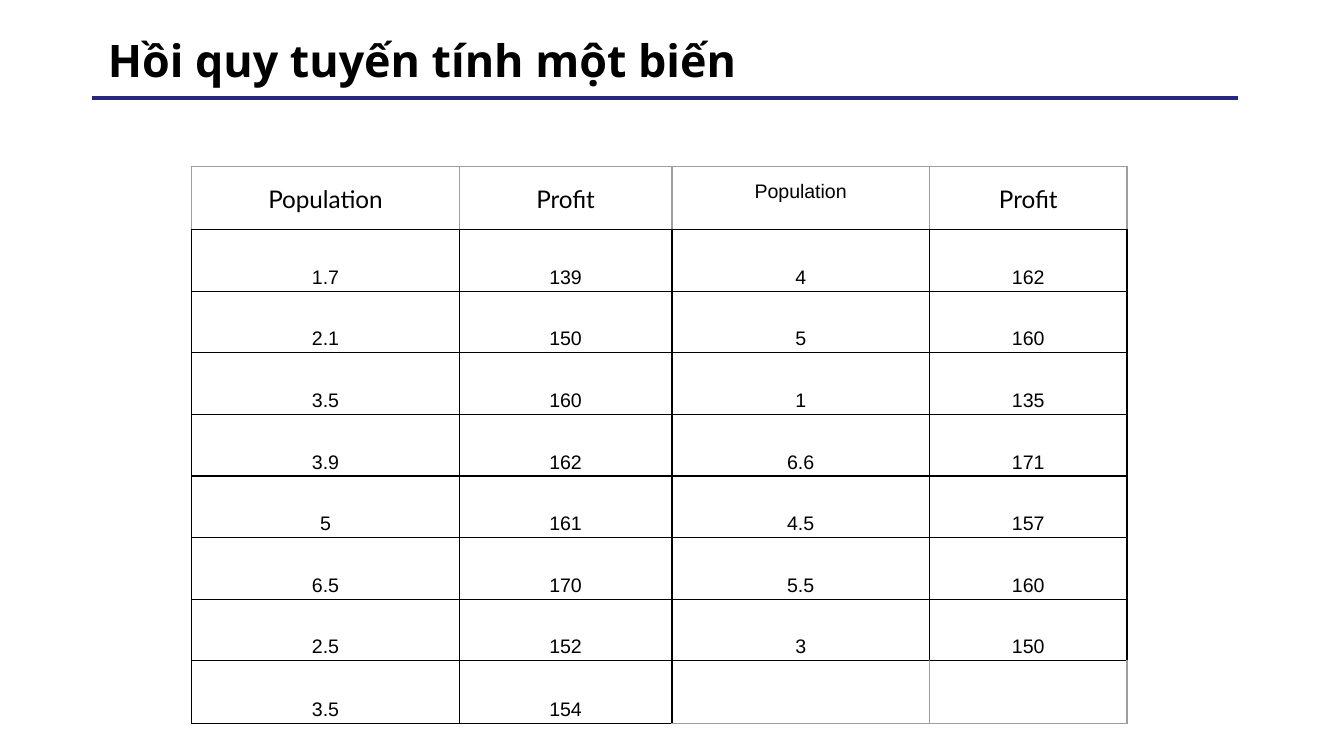
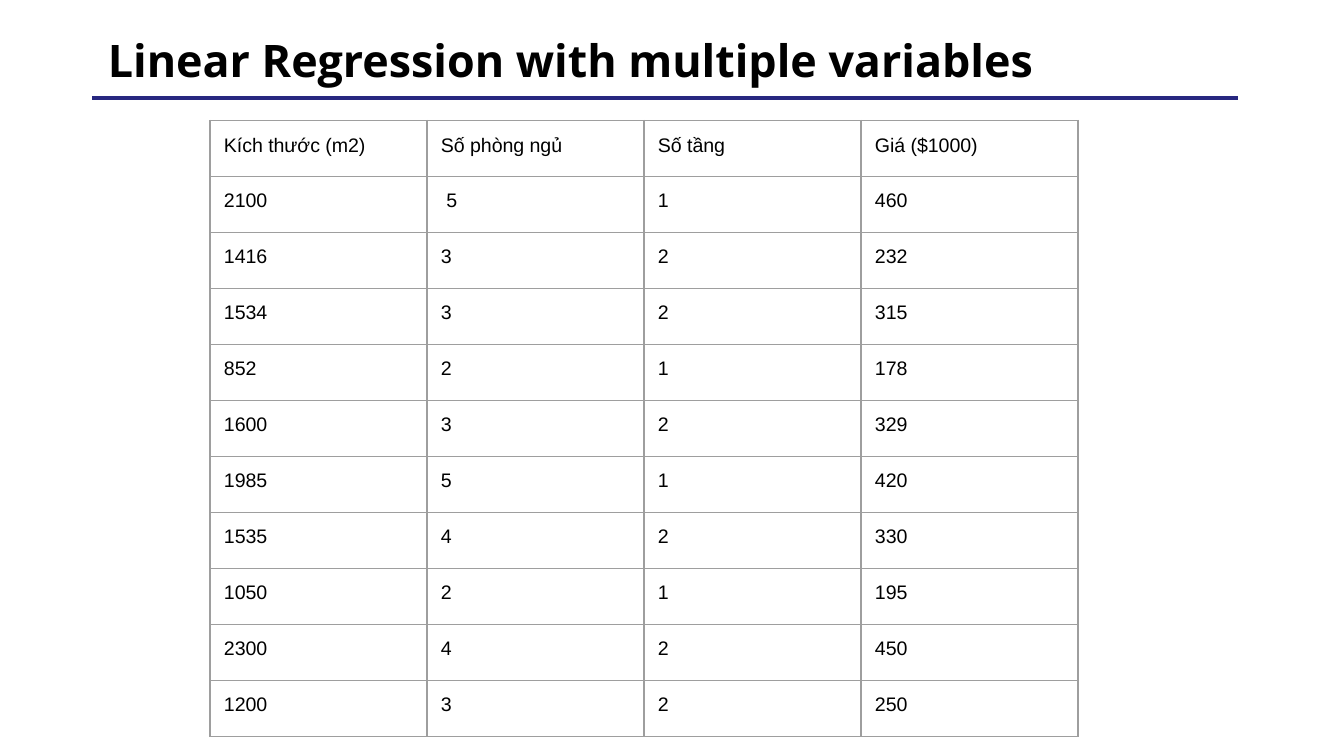
import dataclasses

import lxml.etree
import pptx
import pptx.dml.color
import pptx.enum.shapes
import pptx.enum.text
import pptx.oxml.ns
import pptx.slide
import pptx.table
import pptx.text.text
import pptx.util

PX = 9525  # EMU in one px, 96 px to the inch
BLACK, GREY, NAVY = "000000", "9E9E9E", "272780"
TOP, BOTTOM = pptx.enum.text.MSO_ANCHOR.TOP, pptx.enum.text.MSO_ANCHOR.BOTTOM
LEFT, CENTER = pptx.enum.text.PP_ALIGN.LEFT, pptx.enum.text.PP_ALIGN.CENTER
SIDES = "LRTB"


@dataclasses.dataclass(frozen=True)
class CellStyle:
    font: str = "Arial"
    size: float = 10.5
    align: int = LEFT
    anchor: int = TOP
    spacing: float | None = None
    inset_x: int = 10
    inset_y: int = 10
    borders: tuple[str, str, str, str] = (GREY,) * 4  # in the order of SIDES


@dataclasses.dataclass(frozen=True)
class Grid:
    left: int
    top: int
    cols: list[int]
    rows: list[int]
    data: list[list[str]]
    styles: list[list[CellStyle]]


def px(n: int) -> pptx.util.Emu:
    return pptx.util.Emu(n * PX)


def rgb(color: str) -> pptx.dml.color.RGBColor:
    return pptx.dml.color.RGBColor.from_string(color)


def style_runs(p: pptx.text.text._Paragraph, font: str, size: float, bold: bool = False) -> None:
    for r in p.runs:
        r.font.name, r.font.size, r.font.bold = font, pptx.util.Pt(size), bold
        r.font.color.rgb = rgb(BLACK)


def add_slide(prs, title: str) -> pptx.slide.Slide:
    """Blank slide with the shared title and rule."""
    s = prs.slides.add_slide(prs.slide_layouts[6])

    # Rule under the title
    rule = s.shapes.add_connector(
        pptx.enum.shapes.MSO_CONNECTOR.STRAIGHT, px(884), px(70), px(66), px(70))
    rule.line.color.rgb = rgb(NAVY)
    rule.line.width = pptx.util.Pt(2)
    lxml.etree.SubElement(rule._element.spPr, pptx.oxml.ns.qn("a:effectLst"))

    # Title
    tf = s.shapes.add_textbox(px(67), px(18), px(739), px(42)).text_frame
    tf.word_wrap = True
    tf.vertical_anchor = TOP
    tf.margin_left = tf.margin_right = tf.margin_top = tf.margin_bottom = px(10)
    tf.text = title
    p = tf.paragraphs[0]
    p.line_spacing = 0.9
    style_runs(p, "Open Sans", 24, bold=True)
    return s


def set_borders(cell: pptx.table._Cell, colors: tuple[str, str, str, str]) -> None:
    qn = pptx.oxml.ns.qn
    tc_pr = cell._tc.get_or_add_tcPr()
    for side, color in zip(SIDES, colors):
        ln = lxml.etree.SubElement(tc_pr, qn(f"a:ln{side}"), w=str(pptx.util.Pt(0.75)))
        fill = lxml.etree.SubElement(ln, qn("a:solidFill"))
        lxml.etree.SubElement(fill, qn("a:srgbClr"), val=color)


def fill_cell(cell: pptx.table._Cell, text: str, style: CellStyle) -> None:
    set_borders(cell, style.borders)
    cell.fill.background()
    cell.margin_left = cell.margin_right = px(style.inset_x)
    cell.margin_top = cell.margin_bottom = px(style.inset_y)
    cell.vertical_anchor = style.anchor
    if text:
        p = cell.text_frame.paragraphs[0]
        p.text = text
        p.alignment = style.align
        p.line_spacing = style.spacing
        style_runs(p, style.font, style.size)


def draw_grid(s: pptx.slide.Slide, grid: Grid) -> None:
    table = s.shapes.add_table(
        len(grid.rows), len(grid.cols), px(grid.left), px(grid.top),
        px(sum(grid.cols)), px(sum(grid.rows))).table
    table.first_row = table.horz_banding = False
    for col, width in zip(table.columns, grid.cols):
        col.width = px(width)
    for row, height, texts, styles in zip(table.rows, grid.rows, grid.data, grid.styles):
        row.height = px(height)
        for cell, text, style in zip(row.cells, texts, styles):
            fill_cell(cell, text, style)


def population_grid() -> Grid:
    small_head = CellStyle(align=CENTER, borders=(GREY, GREY, GREY, BLACK))
    head = dataclasses.replace(small_head, font="Lato", size=13, spacing=1.15)
    body = CellStyle(align=CENTER, anchor=BOTTOM, spacing=1.15,
                     inset_x=3, inset_y=2, borders=(BLACK,) * 4)
    empty_left = dataclasses.replace(body, borders=(BLACK, GREY, BLACK, GREY))
    empty_right = dataclasses.replace(body, borders=(GREY, GREY, BLACK, GREY))
    data = [
        ["Population", "Profit", "Population", "Profit"],
        ["1.7", "139", "4", "162"],
        ["2.1", "150", "5", "160"],
        ["3.5", "160", "1", "135"],
        ["3.9", "162", "6.6", "171"],
        ["5", "161", "4.5", "157"],
        ["6.5", "170", "5.5", "160"],
        ["2.5", "152", "3", "150"],
        ["3.5", "154", "", ""],
    ]
    styles = [[head, head, small_head, head], *[[body] * 4] * 7,
              [body, body, empty_left, empty_right]]
    return Grid(137, 119, [191, 152, 184, 141], [45, *[44] * 7, 45], data, styles)


def house_grid() -> Grid:
    data = [
        ["Kích thước (m2)", "Số phòng ngủ", "Số tầng", "Giá ($1000)"],
        ["2100", " 5", "1", "460"],
        ["1416", "3", "2", "232"],
        ["1534", "3", "2", "315"],
        ["852", "2", "1", "178"],
        ["1600", "3", "2", "329"],
        ["1985", "5", "1", "420"],
        ["1535", "4", "2", "330"],
        ["1050", "2", "1", "195"],
        ["2300", "4", "2", "450"],
        ["1200", "3", "2", "250"],
    ]
    count = len(data)
    return Grid(150, 86, [155] * 4, [40] * count, data, [[CellStyle()] * 4] * count)


def main() -> None:
    prs = pptx.Presentation()
    prs.slide_width, prs.slide_height = px(960), px(540)

    # Slide 1: one variable
    draw_grid(add_slide(prs, "Hồi quy tuyến tính một biến"), population_grid())

    # Slide 2: several variables
    draw_grid(add_slide(prs, "Linear Regression with multiple variables"), house_grid())

    prs.save("out.pptx")


if __name__ == "__main__":
    main()
